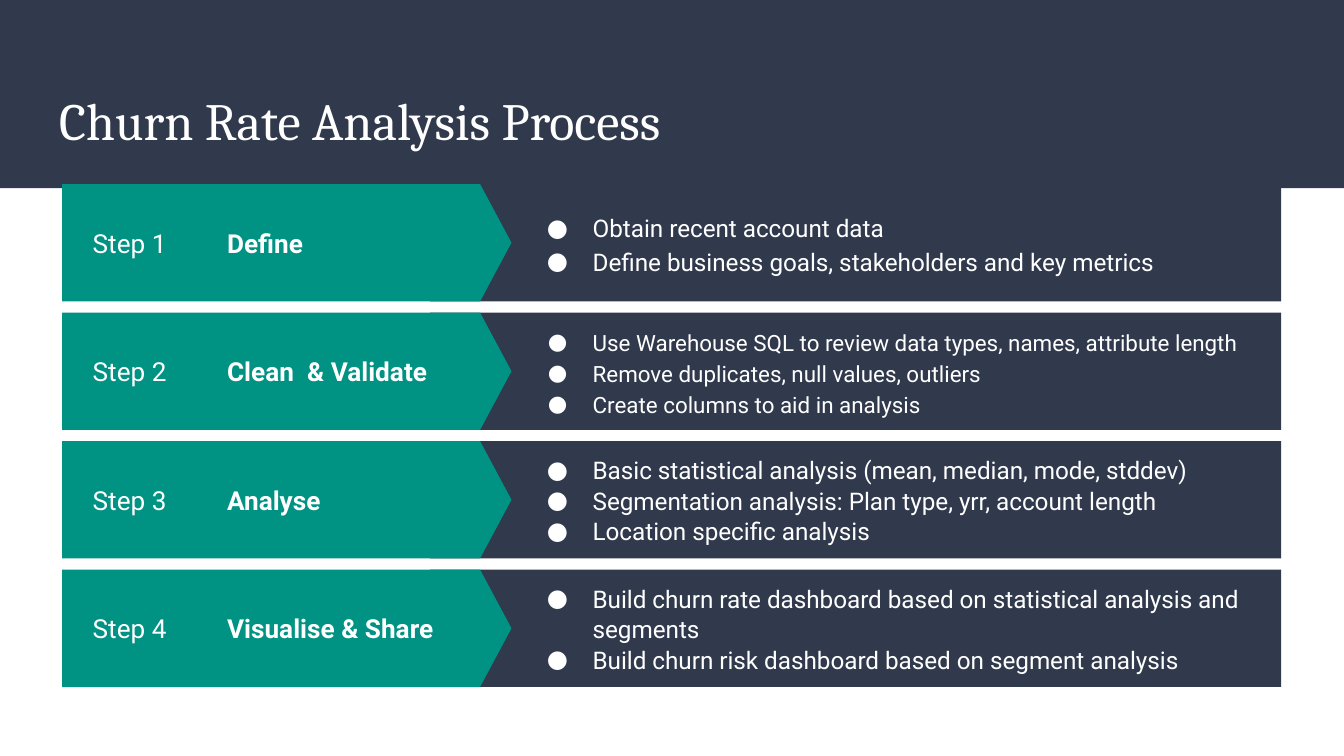
from lxml.etree import SubElement
from pptx import Presentation
from pptx.dml.color import RGBColor
from pptx.enum.shapes import MSO_SHAPE
from pptx.enum.text import MSO_ANCHOR, MSO_AUTO_SIZE, PP_ALIGN
from pptx.oxml.ns import qn
from pptx.util import Pt

NAVY = RGBColor(0x31, 0x39, 0x4D)
TEAL = RGBColor(0x00, 0x93, 0x84)
WHITE = RGBColor(0xFF, 0xFF, 0xFF)

TOP, PITCH, HIGH = 98.6, 68.85, 62.9

STEPS = [
    ("Define", 13, 1.15, [
        "Obtain recent account data",
        "Define business goals, stakeholders and key metrics"]),
    ("Clean  & Validate", 12, 1.15, [
        "Use Warehouse SQL to review data types, names, attribute length",
        "Remove duplicates, null values, outliers",
        "Create columns to aid in analysis"]),
    ("Analyse", 13, 1.05, [
        "Basic statistical analysis (mean, median, mode, stddev)",
        "Segmentation analysis: Plan type, yrr, account length",
        "Location specific analysis"]),
    ("Visualise & Share", 13, 1.05, [
        "Build churn rate dashboard based on statistical analysis and segments",
        "Build churn risk dashboard based on segment analysis"]),
]


class Deck:
    head = "Cambria"
    text = "Roboto"
    inset = 7.2

    def __init__(self, slide):
        self.slide = slide

    def place(self, item, x, y, w, h):
        item.left, item.top, item.width, item.height = map(Pt, (x, y, w, h))
        item.element.getparent().append(item.element)
        frame = item.text_frame
        frame.word_wrap = True
        frame.auto_size = MSO_AUTO_SIZE.NONE
        frame.vertical_anchor = MSO_ANCHOR.MIDDLE
        frame.margin_left = frame.margin_right = Pt(self.inset)
        frame.margin_top = frame.margin_bottom = Pt(self.inset)
        return frame

    def style(self, par, font, size):
        par.alignment = PP_ALIGN.LEFT
        par.space_before = Pt(0)
        for run in par.runs:
            run.font.name = font
            run.font.size = Pt(size)
            run.font.bold = False
            run.font.color.rgb = WHITE

    def block(self, home, kind, x, y, w, h, color):
        shape = home.add_shape(kind, Pt(x), Pt(y), Pt(w), Pt(h))
        shape.shadow.inherit = False
        shape.fill.solid()
        shape.fill.fore_color.rgb = color
        shape.line.fill.background()
        return shape

    def title(self, words):
        frame = self.place(self.slide.shapes.title, 24.5, 39.6, 671, 49)
        frame.text = words
        self.style(frame.paragraphs[0], self.head, 28)

    def row(self, y):
        group = self.slide.shapes.add_group_shape().shapes
        self.block(group, MSO_SHAPE.RECTANGLE, 230.4, y, 456, HIGH, NAVY)
        arrow = self.block(group, MSO_SHAPE.PENTAGON, 33.3, y, 240.7, HIGH, TEAL)
        arrow.adjustments[0] = 0.267

    def label(self, y, step, name):
        box = self.slide.shapes.add_textbox(0, 0, 0, 0)
        frame = self.place(box, 42.6, y, 232, HIGH)
        frame.text = f"{step}\t"
        par = frame.paragraphs[0]
        bold = par.add_run()
        bold.text = name
        self.style(par, self.text, 14)
        bold.font.bold = True

    def list(self, holder, y, size, space, lines):
        frame = self.place(holder, 274.3, y, 402.5, HIGH)
        frame.text = "\n".join(lines)
        for par in frame.paragraphs:
            self.style(par, self.text, size)
            par.line_spacing = space
            self.bullet(par, size)

    def bullet(self, par, size):
        props = par._p.get_or_add_pPr()
        props.set("marL", str(Pt(36)))
        props.set("indent", str(-Pt(18 + size / 2)))
        color = SubElement(props, qn("a:buClr"))
        SubElement(color, qn("a:srgbClr"), val=str(WHITE))
        SubElement(props, qn("a:buFont"), typeface=self.text)
        SubElement(props, qn("a:buChar"), char="●")


def main():
    show = Presentation()
    show.slide_width, show.slide_height = Pt(720), Pt(405)
    slide = show.slides.add_slide(show.slide_layouts.get_by_name("Comparison"))
    deck = Deck(slide)
    bodies = [p for p in slide.placeholders if 1 <= p.placeholder_format.idx <= 4]

    deck.block(slide.shapes, MSO_SHAPE.RECTANGLE, 0, 0, 720, 100.8, NAVY)
    deck.title("Churn Rate Analysis Process")
    for i, (name, size, space, lines) in enumerate(STEPS):
        y = TOP + i * PITCH
        deck.row(y)
        deck.label(y, f"Step {i + 1}", name)
        deck.list(bodies[i], y, size, space, lines)

    show.save("out.pptx")


if __name__ == "__main__":
    main()
